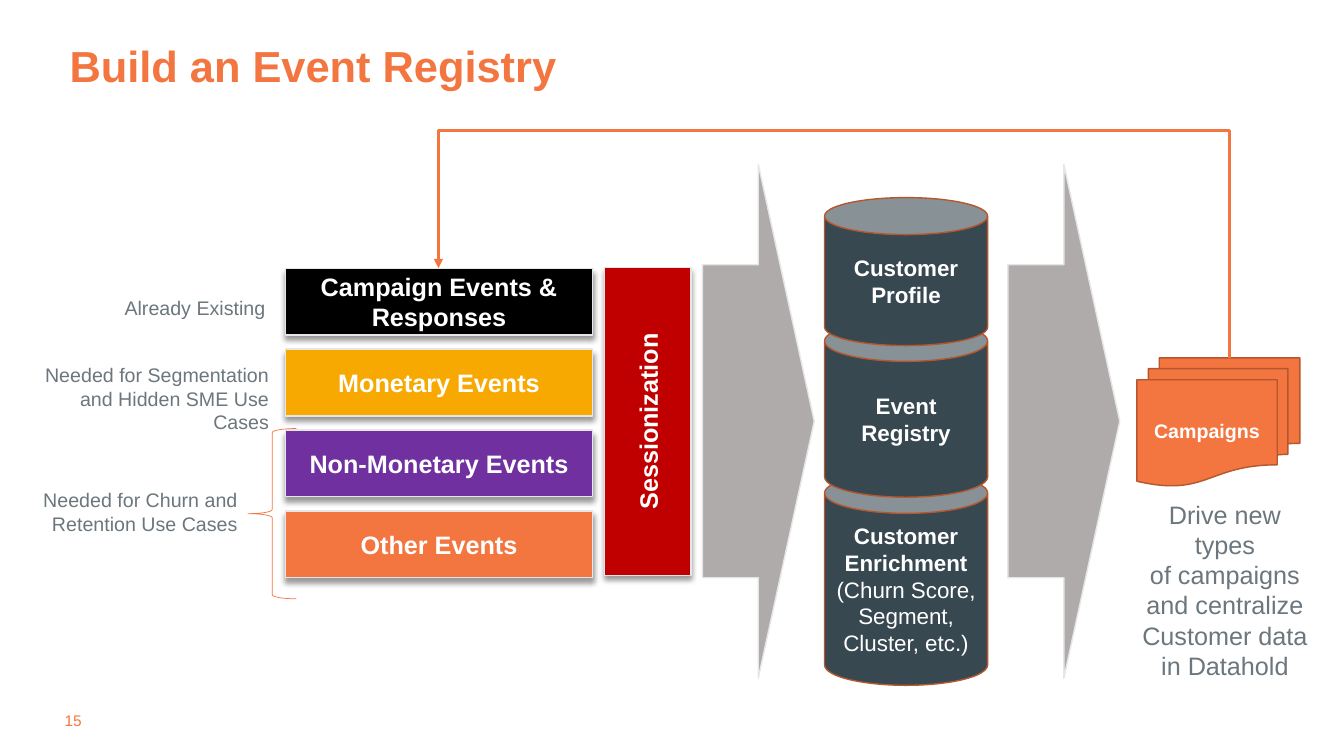
"""Build the event registry slide."""
from dataclasses import dataclass

from lxml import etree
from pptx import Presentation
from pptx.dml.color import RGBColor
from pptx.enum.shapes import MSO_CONNECTOR, MSO_SHAPE
from pptx.enum.text import MSO_ANCHOR, PP_ALIGN
from pptx.oxml.ns import qn
from pptx.util import Cm, Pt

RECTANGLE, CAN = MSO_SHAPE.RECTANGLE, MSO_SHAPE.CAN
ARROW, BRACE = MSO_SHAPE.RIGHT_ARROW, MSO_SHAPE.LEFT_BRACE
DOCUMENTS, ELBOW = MSO_SHAPE.FLOWCHART_MULTIDOCUMENT, MSO_CONNECTOR.ELBOW
LEFT, CENTER, RIGHT = PP_ALIGN.LEFT, PP_ALIGN.CENTER, PP_ALIGN.RIGHT
TOP, MIDDLE, BOTTOM = MSO_ANCHOR.TOP, MSO_ANCHOR.MIDDLE, MSO_ANCHOR.BOTTOM

COLORS = {
    "orange": "F3753F", "rust": "B4572F", "slate": "384851", "grey": "AFABAB",
    "pale": "E7E6E6", "label": "6B767D", "white": "FFFFFF", "black": "000000",
    "amber": "F7A901", "purple": "7030A0", "red": "C00000",
}
EVENT_TOP, EVENT_PITCH = 6.76, 2.04
FONT = "Arial"


@dataclass
class Block:
    """A preset shape with its place in centimetres, look and text."""
    kind: MSO_SHAPE
    place: tuple[float, float, float, float]
    fill: str | None
    line: str
    text: str = ""
    detail: str = ""
    size: float = 18
    width: float = 1
    rotation: float = 0
    shadow: bool = False
    adjustments: tuple[float, ...] = ()


@dataclass
class Label:
    """A text box with its place in centimetres and format."""
    place: tuple[float, float, float, float]
    text: str
    size: float = 14
    color: str = "label"
    align: PP_ALIGN = RIGHT
    inset: float = 0.25
    wrap: bool = True


EVENTS = [
    ("Campaign Events & Responses", "black"),
    ("Monetary Events", "amber"),
    ("Non-Monetary Events", "purple"),
    ("Other Events", "orange"),
]
STORES = [
    (11.91, 5.36, "Customer Enrichment", "(Churn Score, Segment, Cluster, etc.)"),
    (8.08, 4.45, "Event\nRegistry", ""),
    (4.98, 3.73, "Customer Profile", ""),
]
BLOCKS = [
    *(Block(RECTANGLE, (7.19, EVENT_TOP + row * EVENT_PITCH, 7.75, 1.68), fill,
            "pale", text, shadow=True) for row, (text, fill) in enumerate(EVENTS)),
    Block(RECTANGLE, (12.45, 9.53, 7.75, 2.18), "red", "pale", "Sessionization",
          rotation=270, shadow=True),
    *(Block(ARROW, (left, 4.14, 2.82, 12.95), "grey", "pale",
            adjustments=(0.609, 0.5)) for left in (17.7, 25.4)),
    *(Block(CAN, (20.78, top, 4.11, height), "slate", "rust", text, detail, 16)
      for top, height, text, detail in STORES),
    Block(DOCUMENTS, (28.65, 9.02, 4.11, 3.23), "orange", "rust", "Campaigns", size=14),
    Block(BRACE, (6.25, 10.8, 1.22, 4.29), None, "orange", width=0.5),
]
LABELS = [
    Label((1.35, 7.34, 5.59, 0.86), "Already Existing"),
    Label((0.71, 9.02, 6.32, 1.45), "Needed for Segmentation and Hidden SME Use Cases"),
    Label((-0.08, 12.17, 6.32, 1.45), "Needed for Churn and Retention Use Cases"),
    Label((28.52, 12.45, 4.7, 4.11), "Drive new types\nof campaigns\nand centralize\n"
          "Customer data\nin Datahold", 18, align=CENTER, inset=0.2),
    Label((1.63, 17.91, 0.48, 0.48), "15", 11, "orange", LEFT, 0, False),
]


def rgb(name: str) -> RGBColor:
    """Look up a named colour."""
    return RGBColor.from_string(COLORS[name])


def write(para, text: str, *, size: float, color: str, align: PP_ALIGN,
          bold: bool = False) -> None:
    """Fill a paragraph with formatted text."""
    para.text = text
    para.alignment = align
    for span in para.runs:
        span.font.name, span.font.size, span.font.bold = FONT, Pt(size), bold
        span.font.color.rgb = rgb(color)


def add_shadow(shape) -> None:
    """Give a shape a soft shadow below it."""
    effects = shape._element.spPr.find(qn("a:effectLst"))
    outer = etree.SubElement(effects, qn("a:outerShdw"), blurRad=str(Pt(4)),
                             dist=str(Pt(3)), dir="5400000", rotWithShape="0")
    color = etree.SubElement(outer, qn("a:srgbClr"), val=COLORS["black"])
    etree.SubElement(color, qn("a:alpha"), val="40000")


def add_block(page, block: Block) -> None:
    """Draw one preset shape with its text."""
    shape = page.shapes.add_shape(block.kind, *map(Cm, block.place))
    shape.rotation = block.rotation
    for index, value in enumerate(block.adjustments):
        shape.adjustments[index] = value
    if block.fill:
        shape.fill.solid()
        shape.fill.fore_color.rgb = rgb(block.fill)
    else:
        shape.fill.background()
    shape.line.color.rgb = rgb(block.line)
    shape.line.width = Pt(block.width)
    shape.shadow.inherit = False
    if block.shadow:
        add_shadow(shape)
    if block.text:
        frame = shape.text_frame
        frame.vertical_anchor = MIDDLE
        look = {"size": block.size, "color": "white", "align": CENTER}
        first, *others = block.text.split("\n")
        write(frame.paragraphs[0], first, bold=True, **look)
        for line in others:
            write(frame.add_paragraph(), line, bold=True, **look)
        if block.detail:
            write(frame.add_paragraph(), block.detail, **look)


def add_label(page, label: Label) -> None:
    """Draw one text box."""
    frame = page.shapes.add_textbox(*map(Cm, label.place)).text_frame
    frame.word_wrap = label.wrap
    frame.vertical_anchor = TOP
    frame.margin_left = frame.margin_right = Cm(label.inset)
    if not label.inset:
        frame.margin_top = frame.margin_bottom = 0
    write(frame.paragraphs[0], label.text, size=label.size, color=label.color,
          align=label.align)


def add_feedback_arrow(page) -> None:
    """Lead an elbow arrow from the campaigns back to the first event box."""
    arrow = page.shapes.add_connector(ELBOW, Cm(19.89), Cm(17.86), Cm(22.15), Cm(-2.08))
    arrow.line.color.rgb = rgb("orange")
    arrow.line.width = Pt(2.25)
    properties = arrow._element.spPr
    properties.find(qn("a:xfrm")).set("rot", "16200000")
    guides = properties.find(qn("a:prstGeom")).find(qn("a:avLst"))
    etree.SubElement(guides, qn("a:gd"), name="adj1", fmla="val 253700")
    etree.SubElement(properties.find(qn("a:ln")), qn("a:tailEnd"), type="triangle")
    etree.SubElement(properties, qn("a:effectLst"))


def set_title(page, text: str) -> None:
    """Place and format the title."""
    title = page.shapes.title
    title.left, title.top, title.width, title.height = map(Cm, (1.5, 0.51, 29.21, 1.93))
    title.text_frame.vertical_anchor = BOTTOM
    para = title.text_frame.paragraphs[0]
    para.line_spacing = 0.9
    write(para, text, size=31, color="orange", align=LEFT, bold=True)


def main() -> None:
    """Build and save the deck."""
    deck = Presentation()
    deck.slide_width, deck.slide_height = Cm(33.87), Cm(19.05)
    page = deck.slides.add_slide(deck.slide_layouts[5])
    set_title(page, "Build an Event Registry")
    for block in BLOCKS:
        add_block(page, block)
    add_feedback_arrow(page)
    for label in LABELS:
        add_label(page, label)
    deck.save("out.pptx")


if __name__ == "__main__":
    main()
